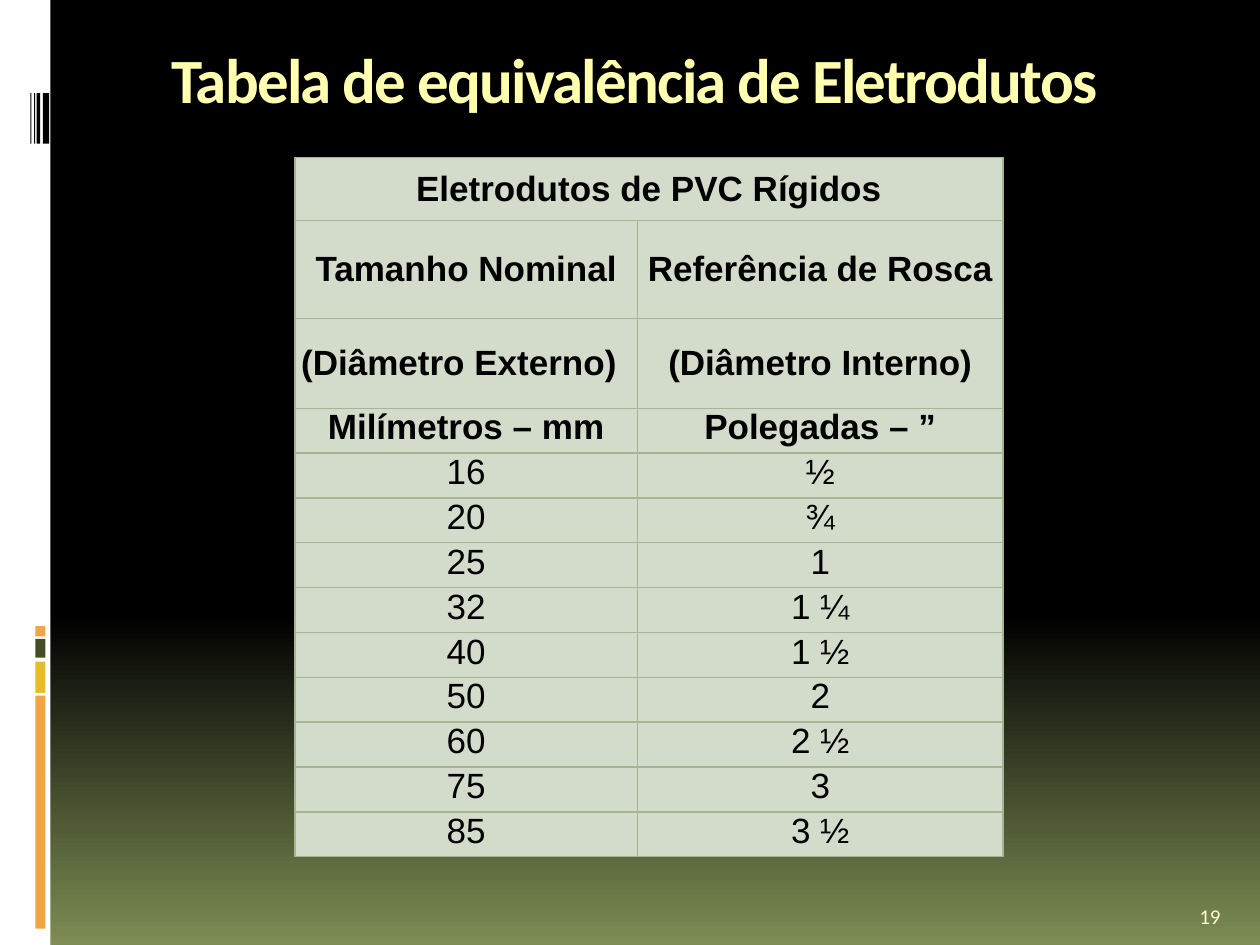
"""Build the slide with the conduit equivalence table."""
from lxml.etree import SubElement
from pptx import Presentation
from pptx.dml.color import RGBColor
from pptx.enum.shapes import MSO_SHAPE as Shape
from pptx.enum.text import MSO_ANCHOR as Anchor, PP_ALIGN as Align
from pptx.oxml.ns import qn
from pptx.util import Inches, Pt

BLACK = RGBColor(0x00, 0x00, 0x00)
WHITE = RGBColor(0xFF, 0xFF, 0xFF)
OLIVE = RGBColor(0x7D, 0x8D, 0x54)
DARK_GREEN = RGBColor(0x44, 0x4D, 0x26)
ORANGE = RGBColor(0xF3, 0xA4, 0x47)
GOLD = RGBColor(0xE7, 0xBC, 0x29)
TITLE_YELLOW = RGBColor(0xFF, 0xFF, 0xAF)
NUMBER_CREAM = RGBColor(0xFE, 0xFA, 0xC9)
CELL_GREEN = RGBColor(0xD3, 0xDB, 0xCB)
BORDER_GREEN = RGBColor(0xA5, 0xB5, 0x92)


def style_text(paragraph, font_name, size, color, bold=False):
    font = paragraph.runs[0].font
    font.name, font.size, font.bold = font_name, Pt(size), bold
    font.color.rgb = color


def add_borders(cell, color, width):
    properties = cell._tc.get_or_add_tcPr()
    for side in ("lnL", "lnR", "lnT", "lnB"):
        line = SubElement(properties, qn(f"a:{side}"), w=str(Pt(width)))
        paint = SubElement(line, qn("a:solidFill"))
        SubElement(paint, qn("a:srgbClr"), val=str(color))


prs = Presentation()
prs.slide_width, prs.slide_height = Inches(10), Inches(7.5)
slide = prs.slides.add_slide(prs.slide_layouts[6])

backdrop = slide.background.fill
backdrop.gradient()
backdrop.gradient_angle = 270
for stop, (position, color) in zip(backdrop.gradient_stops, [(0.65, BLACK), (1, OLIVE)]):
    stop.position = position
    stop.color.rgb = color

side_bars = [
    (0, 0, 0.4, 7.5, WHITE),
    (0.28, 5.52, 0.08, 1.85, ORANGE),
    (0.28, 5.25, 0.08, 0.25, GOLD),
    (0.28, 5.07, 0.08, 0.15, DARK_GREEN),
    (0.28, 4.97, 0.08, 0.08, ORANGE),
    (0.34, 0.74, 0.05, 0.4, BLACK),
    (0.29, 0.74, 0.03, 0.4, BLACK),
    (0.27, 0.74, 0.01, 0.4, BLACK),
    (0.24, 0.74, 0.01, 0.4, BLACK),
]
for *box, color in side_bars:
    bar = slide.shapes.add_shape(Shape.RECTANGLE, *map(Inches, box))
    bar.shadow.inherit = False
    bar.fill.solid()
    bar.fill.fore_color.rgb = color
    bar.line.fill.background()

title = slide.shapes.add_textbox(Inches(0.55), Inches(0.23), Inches(8.97), Inches(0.78)).text_frame
title.word_wrap = True
title.vertical_anchor = Anchor.MIDDLE
title.text = "Tabela de equivalência de Eletrodutos"
heading = title.paragraphs[0]
heading.alignment = Align.CENTER
style_text(heading, "Calibri", 36, TITLE_YELLOW, bold=True)
heading.runs[0].font._element.set("spc", "-100")

page_number = slide.shapes.add_textbox(Inches(9.42), Inches(7.02), Inches(0.5), Inches(0.4)).text_frame
page_number.word_wrap = True
page_number.vertical_anchor = Anchor.BOTTOM
page_number.text = "19"
style_text(page_number.paragraphs[0], "Calibri", 12, NUMBER_CREAM)

conduits = [
    ("Eletrodutos de PVC Rígidos", ""),
    ("Tamanho Nominal", "Referência de Rosca"),
    ("(Diâmetro Externo)", "(Diâmetro Interno)"),
    ("Milímetros – mm", "Polegadas – ”"),
    ("16", "½"),
    ("20", "¾"),
    ("25", "1"),
    ("32", "1 ¼"),
    ("40", "1 ½"),
    ("50", "2"),
    ("60", "2 ½"),
    ("75", "3"),
    ("85", "3 ½"),
]
tall_rows = [0.5, 0.78, 0.71]
header_rows = 4
table_height = 5.55
row_height = (table_height - sum(tall_rows)) / (len(conduits) - len(tall_rows))
row_heights = tall_rows + [row_height] * (len(conduits) - len(tall_rows))

table = slide.shapes.add_table(
    len(conduits), 2, Inches(2.34), Inches(1.25), Inches(5.62), Inches(table_height)
).table
table.first_row = table.horz_banding = False
for column, width in zip(table.columns, (2.72, 2.9)):
    column.width = Inches(width)
table.cell(0, 0).merge(table.cell(0, 1))

for r, (texts, height) in enumerate(zip(conduits, row_heights)):
    table.rows[r].height = Inches(height)
    for c, text in enumerate(texts):
        cell = table.cell(r, c)
        cell.margin_left = cell.margin_right = Inches(0.05)
        cell.margin_top = cell.margin_bottom = 0
        cell.vertical_anchor = Anchor.MIDDLE if r < len(tall_rows) else Anchor.TOP
        add_borders(cell, BORDER_GREEN, 0.94)
        cell.fill.solid()
        cell.fill.fore_color.rgb = CELL_GREEN
        if text:
            cell.text_frame.text = text
            label = cell.text_frame.paragraphs[0]
            label.alignment = Align.LEFT if text == "(Diâmetro Externo)" else Align.CENTER
            style_text(label, "Arial", 20, BLACK, bold=r < header_rows)

prs.save("out.pptx")
